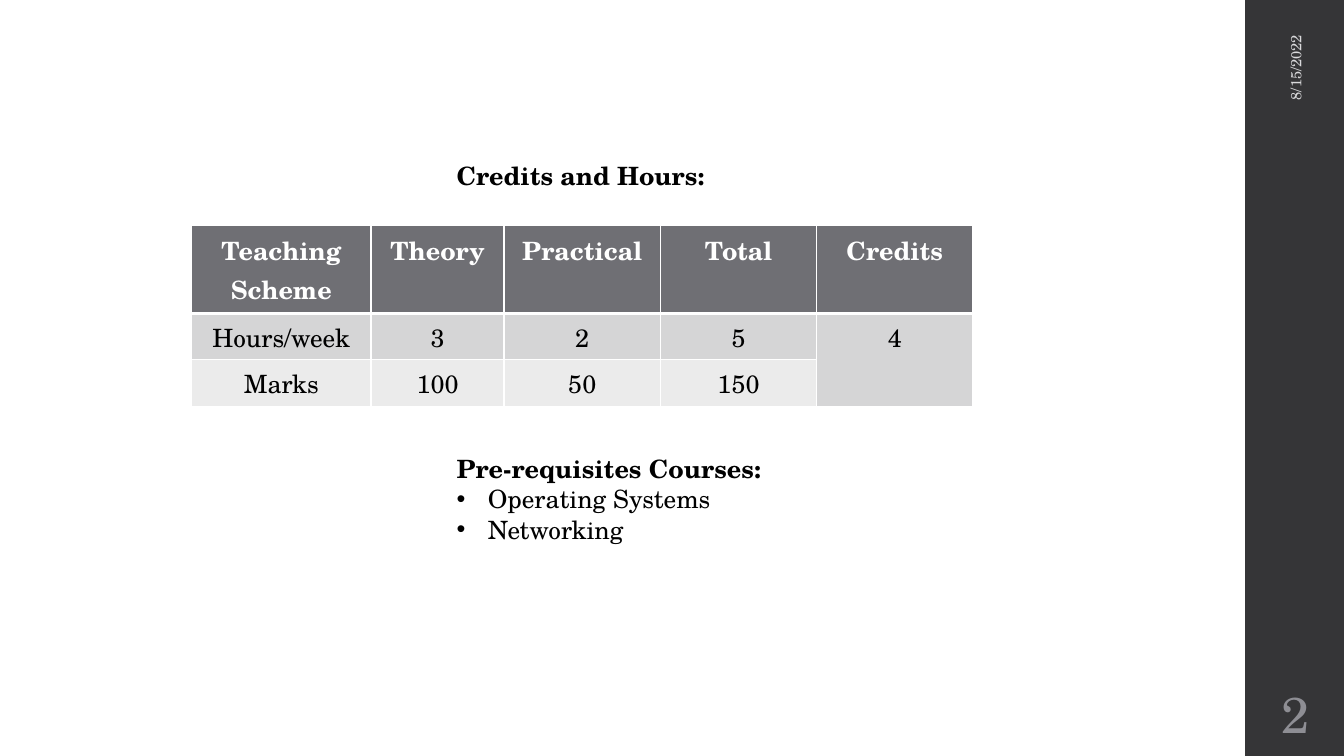
import pptx
import pptx.util
import pptx.dml.color
import pptx.enum.shapes
import pptx.enum.text
import pptx.oxml
import pptx.oxml.ns
from pptx.util import Inches

FONT = "TeX Gyre Schola"
COLORS = {
    "sidebar": "353537", "date": "D9D9DB", "number": "8E8E94",
    "header": "6F6F74", "odd": "D5D5D6", "even": "EBEBEB",
    "white": "FFFFFF", "black": "000000",
}
ALIGN = pptx.enum.text.PP_ALIGN
ANCHOR = pptx.enum.text.MSO_ANCHOR


def rgb(name):
    return pptx.dml.color.RGBColor.from_string(COLORS[name])


def style(para, size, color, bold=False, align=None):
    para.font.name = FONT
    para.font.size = pptx.util.Pt(size)
    para.font.bold = bold
    para.font.color.rgb = rgb(color)
    if align is not None:
        para.alignment = align


def add_bullet(para, indent):
    props = para._p.get_or_add_pPr()
    props.set("marL", str(Inches(indent)))
    props.set("indent", str(-Inches(indent)))
    for tag, attributes in (("a:buFont", {"typeface": "Arial"}),
                            ("a:buChar", {"char": "•"})):
        props.append(props.makeelement(pptx.oxml.ns.qn(tag), attributes))


def add_borders(cell, bottom_width):
    props = cell._tc.get_or_add_tcPr()
    widths = {"lnL": 1, "lnR": 1, "lnT": 1, "lnB": bottom_width}
    for position, (tag, width) in enumerate(widths.items()):
        props.insert(position, pptx.oxml.parse_xml(
            f'<a:{tag} {pptx.oxml.ns.nsdecls("a")} w="{pptx.util.Pt(width)}">'
            f'<a:solidFill><a:srgbClr val="{COLORS["white"]}"/></a:solidFill></a:{tag}>'))


def add_text(page, left, top, width, height):
    box = page.shapes.add_textbox(*map(Inches, (left, top, width, height)))
    box.text_frame.word_wrap = True
    return box


def add_sidebar(page, left, top, width, height):
    # Dark band
    band = page.shapes.add_shape(pptx.enum.shapes.MSO_SHAPE.RECTANGLE,
                                 *map(Inches, (left, top, width, height)))
    band.shadow.inherit = False
    band.fill.solid()
    band.fill.fore_color.rgb = rgb("sidebar")
    band.line.fill.background()

    # Date, turned to read upwards
    date = add_text(page, left - 0.54, top + 1.09, 2.08, 0.4)
    date.rotation = 270
    date.text_frame.text = "8/15/2022"
    date.text_frame.vertical_anchor = ANCHOR.MIDDLE
    style(date.text_frame.paragraphs[0], 10.5, "date", align=ALIGN.RIGHT)

    # Slide number
    number = add_text(page, left, top + height - 0.75, width, 0.65)
    frame = number.text_frame
    frame.margin_left = frame.margin_right = Inches(0.05)
    frame.text = "2"
    frame.vertical_anchor = ANCHOR.MIDDLE
    style(frame.paragraphs[0], 36, "number", align=ALIGN.CENTER)


def add_section(page, left, top, width, height, heading, items=()):
    frame = add_text(page, left, top, width, height).text_frame
    frame.word_wrap = False
    frame.text = heading
    style(frame.paragraphs[0], 18, "black", bold=True)
    for item in items:
        para = frame.add_paragraph()
        para.text = item
        add_bullet(para, 0.31)
        style(para, 18, "black")


def add_scheme_table(page, left, top, columns, heights, rows):
    table = page.shapes.add_table(
        len(rows), len(columns), Inches(left), Inches(top),
        Inches(sum(columns)), Inches(sum(heights))).table
    for column, width in zip(table.columns, columns):
        column.width = Inches(width)
    for row, height in zip(table.rows, heights):
        row.height = Inches(height)

    for r, values in enumerate(rows):
        is_header = r == 0
        fill = "header" if is_header else ("odd" if r % 2 else "even")
        for c, value in enumerate(values):
            cell = table.cell(r, c)
            cell.text = value
            cell.fill.solid()
            cell.fill.fore_color.rgb = rgb(fill)
            add_borders(cell, 3 if is_header else 1)
            style(cell.text_frame.paragraphs[0], 18,
                  "white" if is_header else "black", is_header, ALIGN.CENTER)

    # Credits cover both body rows
    table.cell(1, 4).merge(table.cell(2, 4))


def main():
    deck = pptx.Presentation()
    deck.slide_width, deck.slide_height = Inches(13.33), Inches(7.5)
    page = deck.slides.add_slide(deck.slide_layouts[6])

    add_sidebar(page, 12.35, 0, 1, 7.5)
    add_scheme_table(
        page, 1.9, 2.24, [1.78, 1.32, 1.55, 1.55, 1.55], [0.87, 0.46, 0.46],
        [["Teaching Scheme", "Theory", "Practical", "Total", "Credits"],
         ["Hours/week", "3", "2", "5", "4"],
         ["Marks", "100", "50", "150", ""]])
    add_section(page, 4.43, 1.54, 2.68, 0.4, "Credits and Hours:")
    add_section(page, 4.43, 4.45, 3.25, 1.01, "Pre-requisites Courses:",
                ["Operating Systems", "Networking"])
    deck.save("out.pptx")


if __name__ == "__main__":
    main()
